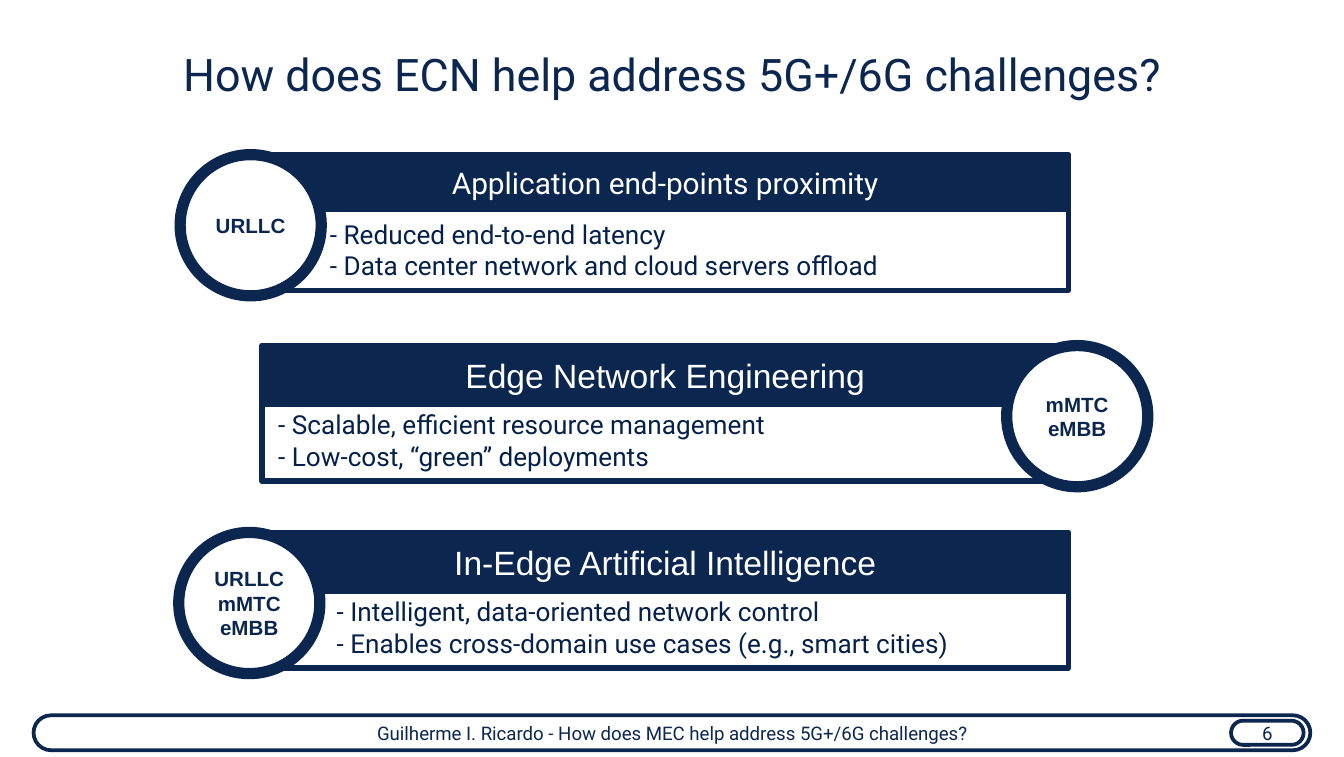
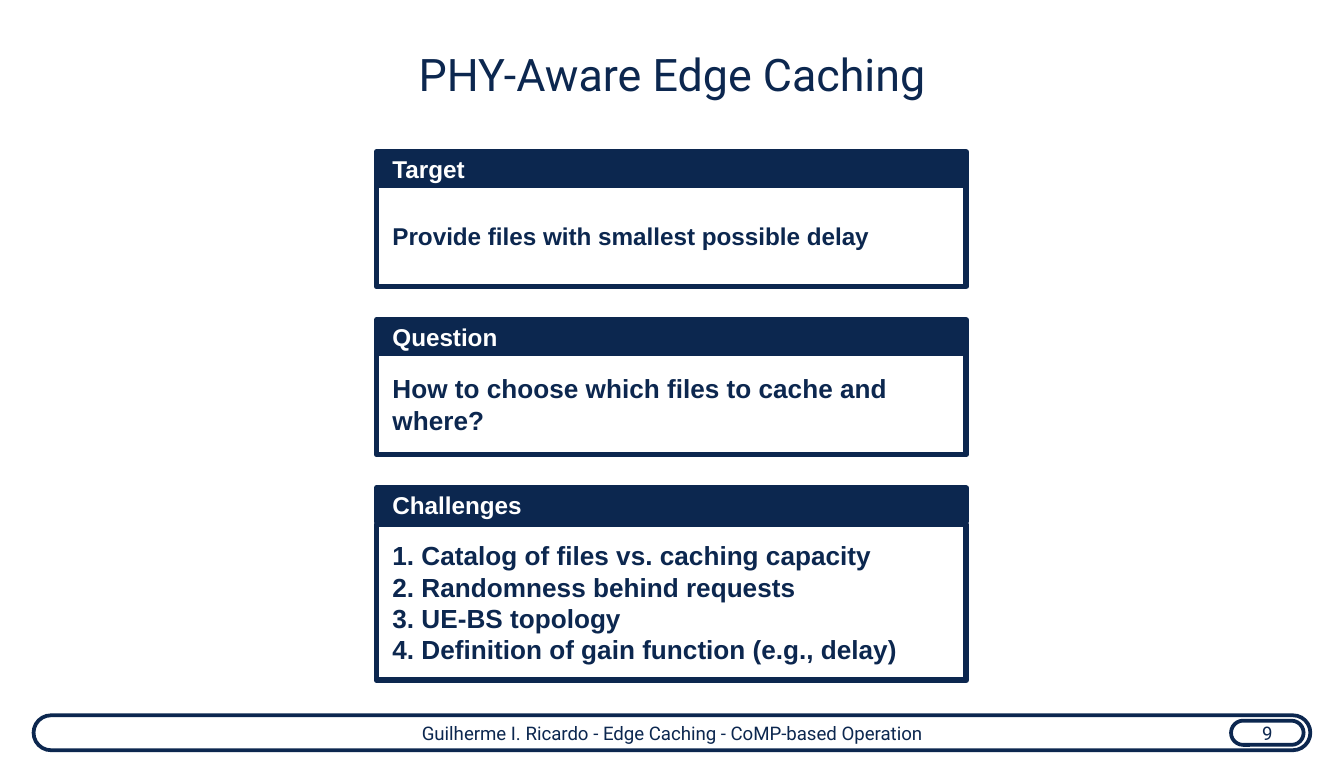
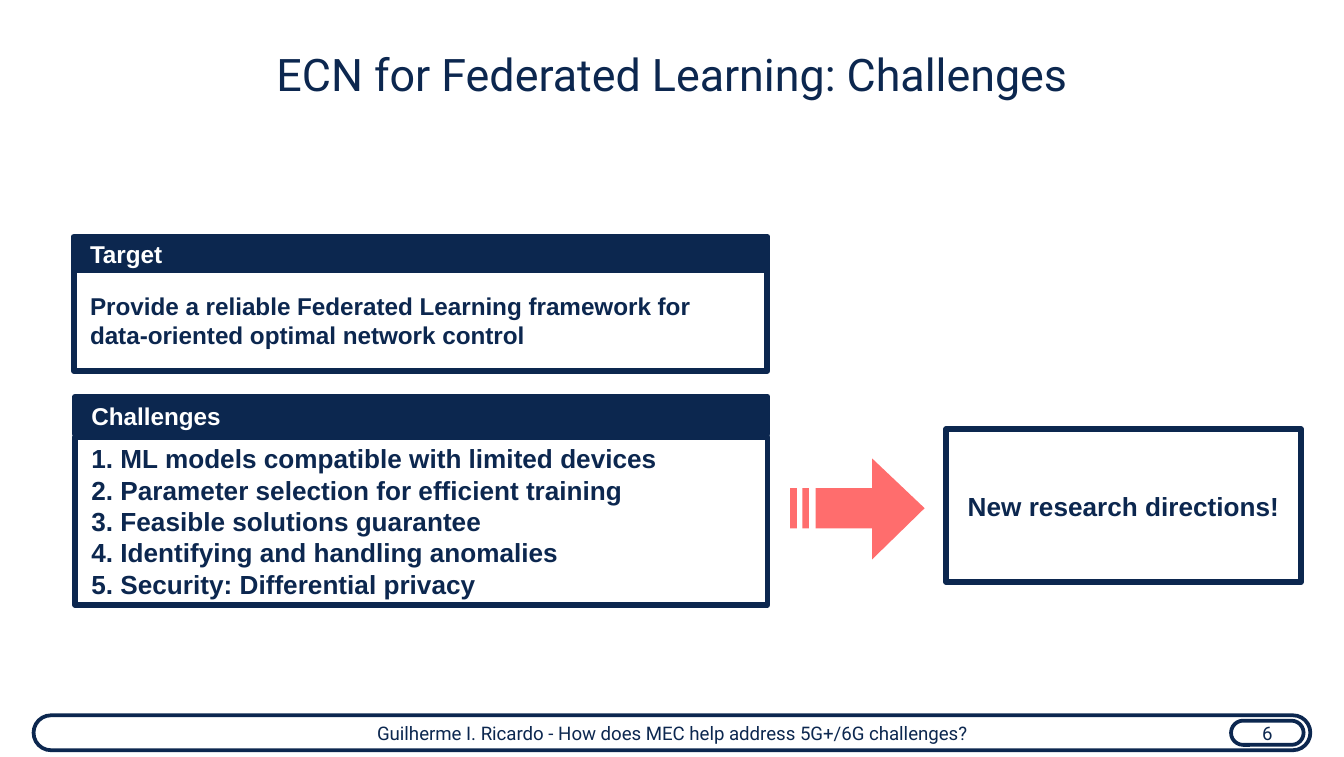
from pptx import Presentation
from pptx.dml.color import RGBColor
from pptx.enum.shapes import MSO_SHAPE as Kind
from pptx.enum.text import MSO_ANCHOR as Anchor, MSO_AUTO_SIZE as Fit, PP_ALIGN as Align
from pptx.oxml.ns import qn
from pptx.util import Inches, Pt
from lxml.etree import SubElement

CELL = Inches(0.1)
COLS, ROWS = 100, 56.3
NAVY, INK, WHITE, CORAL = "0C274F", "05214A", "FFFFFF", "FF6D6D"
SANS, BOLD = "Roboto", "Arial"
MEC = "How does MEC help address 5G+/6G challenges?"


def tint(code):
    """Turn a hex string into a colour."""
    return RGBColor.from_string(code)


def span(*cells):
    """Turn grid cells into lengths."""
    return [round(cell * CELL) for cell in cells]


def write(frame, lines, size, font=SANS, color=NAVY, bold=False,
          align=Align.LEFT, anchor=Anchor.MIDDLE, pad=(1.2, 0.7)):
    """Write lines as paragraphs of one run each."""
    frame.word_wrap = True
    frame.auto_size = Fit.NONE
    frame.vertical_anchor = anchor
    frame.margin_left, frame.margin_top = span(*pad)
    frame.margin_right, frame.margin_bottom = span(min(pad[0], 1.2), pad[1])
    for row, line in enumerate(lines):
        para = frame.add_paragraph() if row else frame.paragraphs[0]
        para.alignment = align
        run = para.add_run()
        run.text = line
        face = run.font
        face.name, face.size, face.bold = font, Pt(size), bold
        face.color.rgb = tint(color)


def block(slide, kind, area, fill=WHITE, line=3):
    """Add an outlined shape and return it."""
    shape = slide.shapes.add_shape(kind, *span(*area))
    shape.shadow.inherit = False
    if fill:
        shape.fill.solid()
        shape.fill.fore_color.rgb = tint(fill)
    else:
        shape.fill.background()
    shape.line.color.rgb = tint(NAVY)
    shape.line.width = Pt(line)
    SubElement(shape.line._get_or_add_ln(), qn("a:round"))
    return shape


def pill(slide, area, words, pad):
    """Add a round-ended box of small text."""
    shape = block(slide, Kind.ROUNDED_RECTANGLE, area, None, 2)
    shape.adjustments[0] = 0.5
    write(shape.text_frame, [words], 10, align=Align.CENTER, pad=pad)


def start(deck, title, topic, page, edge=2.5):
    """Add a slide with its title and footer."""
    slide = deck.slides.add_slide(deck.slide_layouts[5])
    head = slide.shapes.title
    head.left, head.top, head.width, head.height = span(edge, 2.5, COLS - 2 * edge, 10.3)
    write(head.text_frame, [title], 24, align=Align.CENTER, anchor=Anchor.TOP, pad=(0, 1))
    pill(slide, (2.5, 53.2, COLS - 5, 2.6), f"Guilherme I. Ricardo - {topic}", (1, 0.9))
    pill(slide, (91.6, 53.6, 5.4, 1.8), str(page), (1, 0.6))
    return slide


def panel(slide, top, title, lines, tags, left, deep=4.4, size=18, font=BOLD,
          inset=1.2, anchor=Anchor.TOP):
    """Add a titled panel with a round badge."""
    body = block(slide, Kind.RECTANGLE, (19.5, top + 4, 60, 6.1))
    write(body.text_frame, lines, 14, color=INK, anchor=anchor, pad=(inset, 0.7))
    head = block(slide, Kind.RECTANGLE, (19.5, top, 60, deep), NAVY)
    write(head.text_frame, [title], size, font, WHITE, align=Align.CENTER)
    badge = block(slide, Kind.OVAL, (left, top, 10.5, 10.5), line=6)
    write(badge.text_frame, tags, 11, BOLD, bold=True, align=Align.CENTER, pad=(1, 0.5))


def card(slide, left, top, wide, title, lines, size=14, head=2.5, gap=0, tall=7.5):
    """Add a body box under a heading bar."""
    body = block(slide, Kind.RECTANGLE, (left, top + head + gap, wide, tall))
    write(body.text_frame, lines, size, BOLD, bold=True)
    bar = block(slide, Kind.RECTANGLE, (left, top, wide, head), NAVY)
    write(bar.text_frame, [title], 13, BOLD, WHITE, True, pad=(1.2, 1.2))


def arrow(slide, left, top):
    """Draw an arrow with two stripes at its tail."""
    low, high = 22, 52
    parts = [[(61, 0), (100, 37), (61, 75), (61, high), (19, high), (19, low), (61, low)]]
    parts += [[(x, low), (x, high), (x + 5, high), (x + 5, low)] for x in (0, 9)]
    pen = slide.shapes.build_freeform(*parts[0][0], scale=CELL / 10)
    for part in parts:
        if part is not parts[0]:
            pen.move_to(*part[0])
        pen.add_line_segments(part[1:], close=True)
    shape = pen.convert_to_shape(*span(left, top))
    shape.shadow.inherit = False
    shape.fill.solid()
    shape.fill.fore_color.rgb = tint(CORAL)
    shape.line.fill.background()


def help_page(deck):
    """Build the slide on how ECN helps."""
    slide = start(deck, "How does ECN help address 5G+/6G challenges?", MEC, 6)
    panel(slide, 11.5, "Application end-points proximity",
          ["- Reduced end-to-end latency", "- Data center network and cloud servers offload"],
          ["URLLC"], 13.4, 4.1, 16, SANS, 5.05, Anchor.MIDDLE)
    panel(slide, 25.7, "Edge Network Engineering",
          ["- Scalable, efficient resource management", "- Low-cost, “green” deployments"],
          ["mMTC", "eMBB"], 74.9)
    panel(slide, 39.6, "In-Edge Artificial Intelligence",
          ["- Intelligent, data-oriented network control",
           "- Enables cross-domain use cases (e.g., smart cities)"],
          ["URLLC", "mMTC", "eMBB"], 13.3, inset=5.55)


def cache_page(deck):
    """Build the slide on edge caching."""
    slide = start(deck, "PHY-Aware Edge Caching", "Edge Caching - CoMP-based Operation", 9, 10)
    cards = [
        ("Target", ["Provide files with smallest possible delay"], 13),
        ("Question", ["How to choose which files to cache and where?"]),
        ("Challenges", ["1. Catalog of files vs. caching capacity",
                        "2. Randomness behind requests",
                        "3. UE-BS topology",
                        "4. Definition of gain function (e.g., delay)"], 14, 2.5, 0.2, 11.6),
    ]
    for row, parts in enumerate(cards):
        card(slide, 28, 11.3 + 12.5 * row, 43.9, *parts)


def learn_page(deck):
    """Build the slide on federated learning."""
    slide = start(deck, "ECN for Federated Learning: Challenges", MEC, 6)
    card(slide, 5.6, 29.5, 51.5, "Challenges",
         ["1. ML models compatible with limited devices",
          "2. Parameter selection for efficient training",
          "3. Feasible solutions guarantee",
          "4. Identifying and handling anomalies",
          "5. Security: Differential privacy"], 14, 2.8, 0.2, 12.5)
    card(slide, 5.5, 17.6, 51.6, "Target",
         ["Provide a reliable Federated Learning framework for "
          "data-oriented optimal network control"], 13)
    arrow(slide, 58.8, 34.1)
    goal = block(slide, Kind.RECTANGLE, (70.4, 31.9, 26.4, 11.4))
    write(goal.text_frame, ["New research directions!"], 14, BOLD, bold=True, align=Align.CENTER)


def main():
    """Build and save the deck."""
    deck = Presentation()
    deck.slide_width, deck.slide_height = span(COLS, ROWS)
    help_page(deck)
    cache_page(deck)
    learn_page(deck)
    deck.save("out.pptx")


if __name__ == "__main__":
    main()
